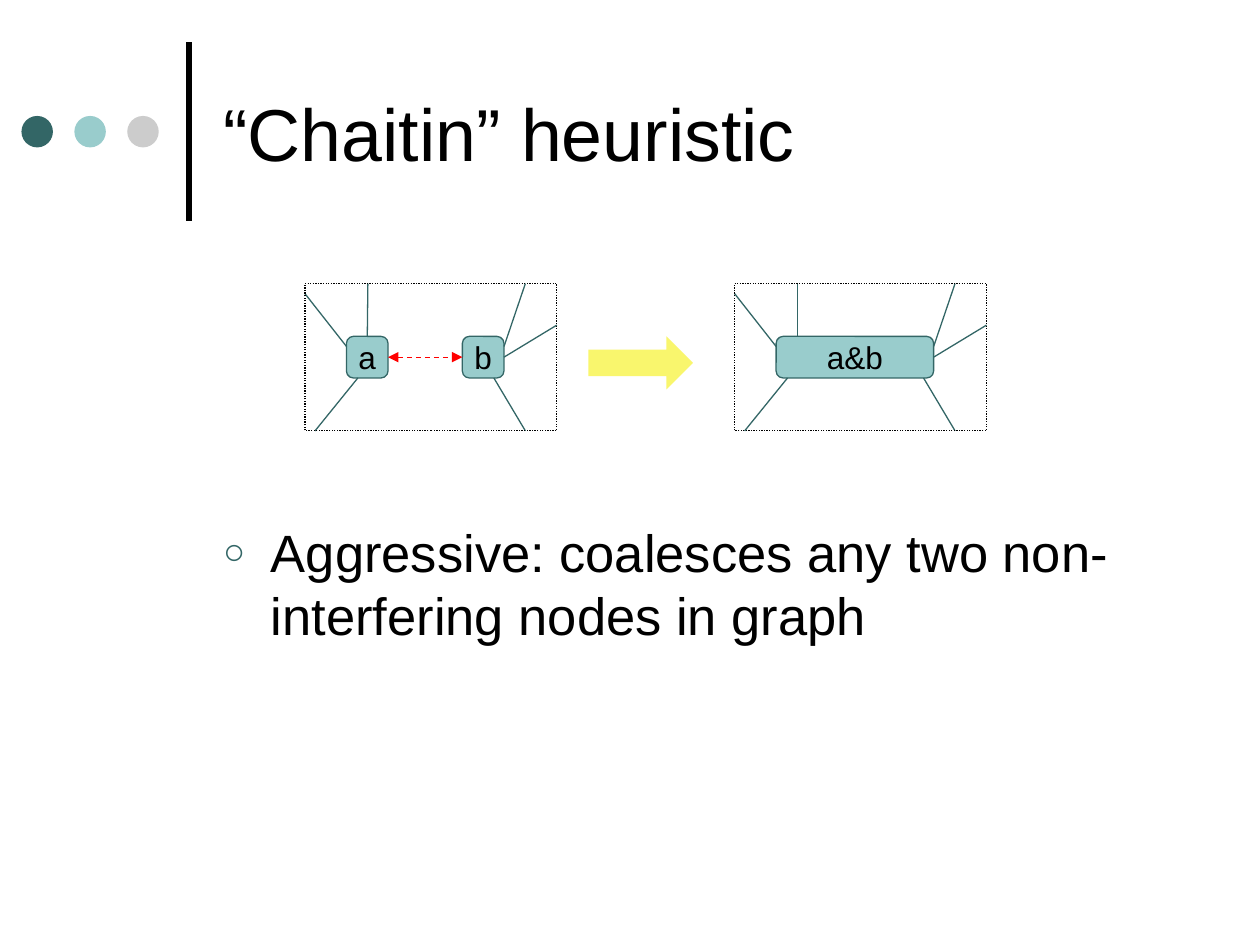
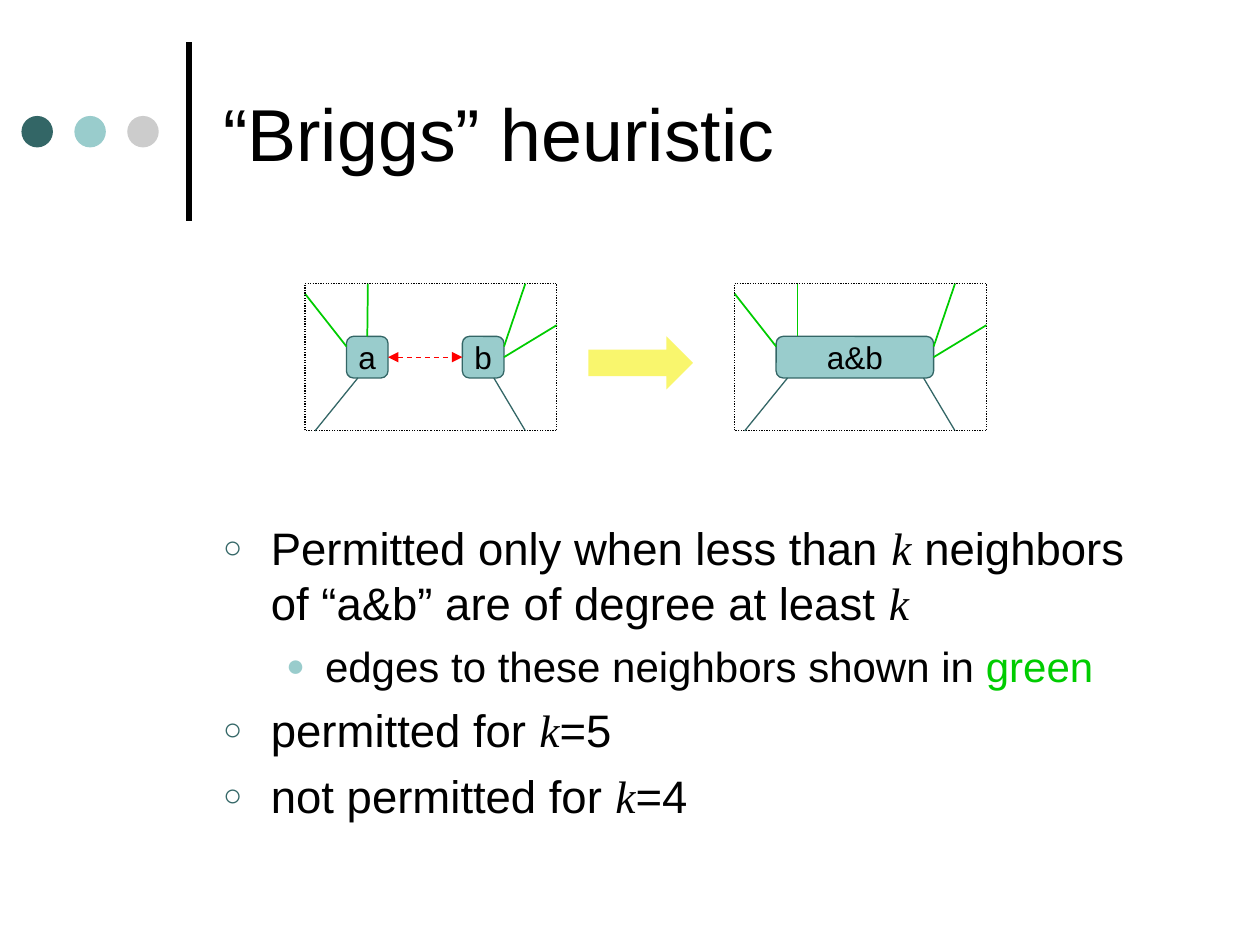
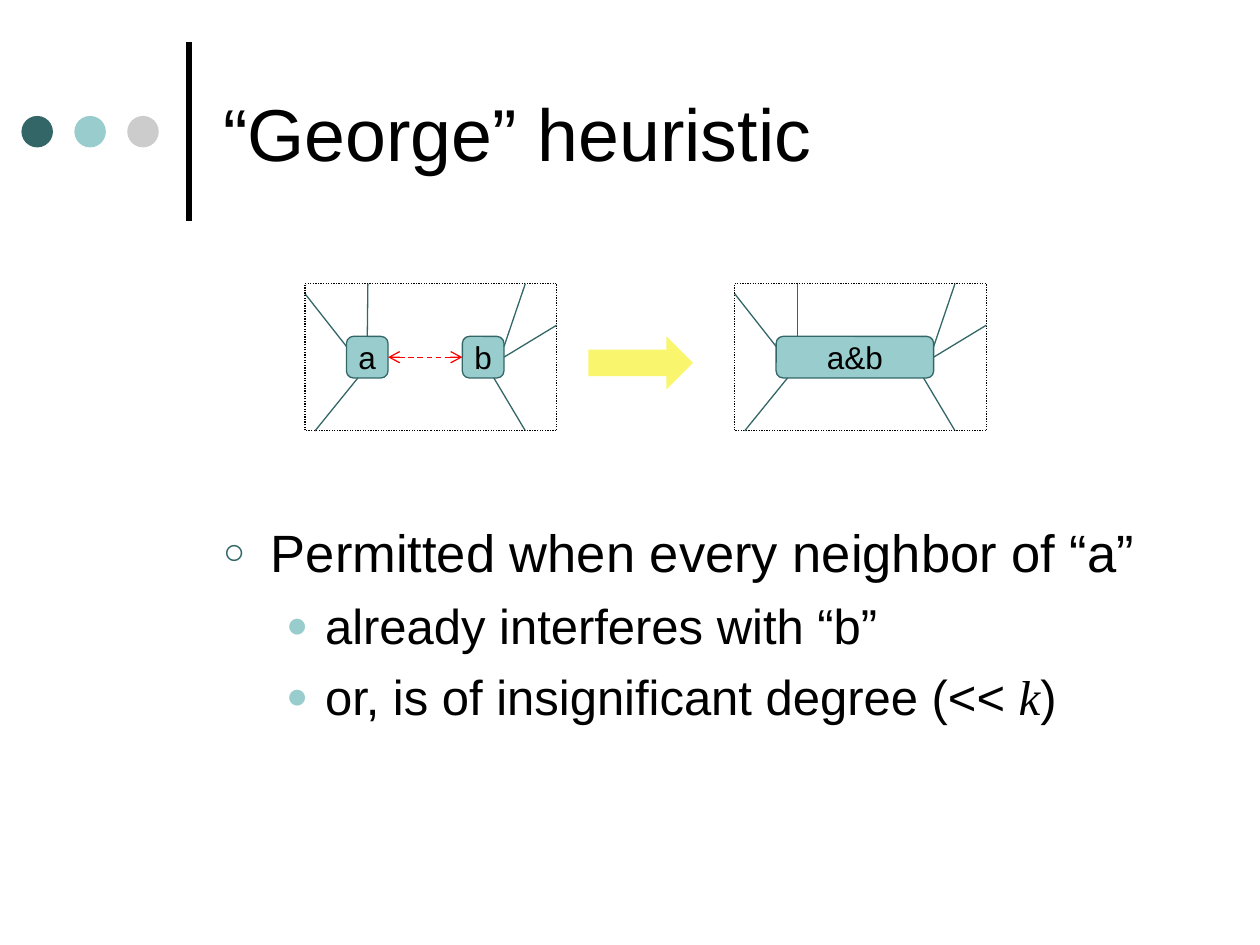
from lxml import etree
from pptx import Presentation
from pptx.dml.color import RGBColor
from pptx.enum.dml import MSO_LINE
from pptx.enum.shapes import MSO_CONNECTOR, MSO_SHAPE
from pptx.enum.text import MSO_ANCHOR, MSO_AUTO_SIZE, PP_ALIGN
from pptx.oxml.ns import qn
from pptx.util import Inches, Pt

STRAIGHT = MSO_CONNECTOR.STRAIGHT
OVAL, RECT = MSO_SHAPE.OVAL, MSO_SHAPE.RECTANGLE
ROUNDED, RIGHT_ARROW = MSO_SHAPE.ROUNDED_RECTANGLE, MSO_SHAPE.RIGHT_ARROW
DASH, DOTS = MSO_LINE.DASH, MSO_LINE.ROUND_DOT
LEFT, CENTER = PP_ALIGN.LEFT, PP_ALIGN.CENTER
TOP, MIDDLE = MSO_ANCHOR.TOP, MSO_ANCHOR.MIDDLE
NO_AUTOFIT = MSO_AUTO_SIZE.NONE

HEX = {"black": "000000", "teal": "336666", "aqua": "99CCCC", "grey": "CCCCCC",
       "red": "FF0000", "green": "00CC00", "yellow": "F9F66D"}
COLORS = {name: RGBColor.from_string(value) for name, value in HEX.items()}
FONT, MATH_FONT = "Arial", "Times New Roman"

BULLETS = [("○", "teal", 70, 0.38, 0.38), ("●", "aqua", 75, 0.81, 0.31)]

GRAPH_TOP, GRAPH_WIDTH, GRAPH_HEIGHT = 2.25, 2, 1.17
NODE_TOP, NODE_HEIGHT = 2.67, 0.33
EDGES = [
    (0.33, 0.5, 0, 0.08, True),
    (0.5, 0.42, 0.5, 0, True),
    (0.42, 0.75, 0.08, 1.17, False),
    (1.58, 0.5, 1.75, 0, True),
    (1.58, 0.58, 2, 0.33, True),
    (1.5, 0.75, 1.75, 1.17, False),
]
GRAPHS = [
    (2.42, [("a", 0.33, 0.33), ("b", 1.25, 0.33)], [("a", 1, 0), ("b", 4, 3)]),
    (5.83, [("a&b", 0.33, 1.25)], [("a&b", 4, 3)]),
]

HEURISTICS = [
    ("“Chaitin” heuristic", "teal", 0.75, "triangle", (30, 28), [
        (0, ["Aggressive: coalesces any two non-interfering nodes in graph"]),
    ]),
    ("“Briggs” heuristic", "green", 1, "triangle", (26, 24), [
        (0, ["Permitted only when less than ", "k",
             " neighbors of “a&b” are of degree at least ", "k"]),
        (1, ["edges to these neighbors shown in ", "green"]),
        (0, ["permitted for ", "k", "=5"]),
        (0, ["not permitted for ", "k", "=4"]),
    ]),
    ("“George” heuristic", "teal", 0.75, "arrow", (30, 28), [
        (0, ["Permitted when every neighbor of “a”"]),
        (1, ["already interferes with “b”"]),
        (1, ["or, is of insignificant degree (<< ", "k", ")"]),
    ]),
]


def add_shape(slide, kind, left, top, width, height, fill=None):
    shape = slide.shapes.add_shape(kind, Inches(left), Inches(top), Inches(width), Inches(height))
    shape.shadow.inherit = False
    if fill:
        shape.fill.solid()
        shape.fill.fore_color.rgb = COLORS[fill]
    else:
        shape.fill.background()
    shape.line.fill.background()
    return shape


def add_line(slide, x1, y1, x2, y2, color, width):
    line = slide.shapes.add_connector(STRAIGHT, Inches(x1), Inches(y1), Inches(x2), Inches(y2))
    line.line.color.rgb = COLORS[color]
    line.line.width = Pt(width)
    etree.SubElement(line.element.spPr, qn("a:effectLst"))
    return line


prs = Presentation()
prs.slide_width, prs.slide_height = Inches(10), Inches(7.5)
layout = prs.slide_layouts[1]
for placeholder, top, height in zip(layout.placeholders, (0.21, 4.08), (1.67, 2.5)):
    placeholder.left, placeholder.top = Inches(1.67), Inches(top)
    placeholder.width, placeholder.height = Inches(7.67), Inches(height)

for heading, edge_color, edge_width, arrowhead, sizes, points in HEURISTICS:
    slide = prs.slides.add_slide(layout)
    add_line(slide, 1.5, 1.75, 1.5, 0.33, "black", 3)
    for i, color in enumerate(("teal", "aqua", "grey")):
        add_shape(slide, OVAL, 0.17 + 0.42 * i, 0.92, 0.25, 0.25, color)

    title = slide.shapes.title.text_frame
    title.text = heading
    title.vertical_anchor = MIDDLE
    title.auto_size = NO_AUTOFIT
    title_line = title.paragraphs[0]
    title_line.alignment = LEFT
    title_line.font.name, title_line.font.size = FONT, Pt(42)
    title_line.font.color.rgb = COLORS["black"]

    body = slide.placeholders[1].text_frame
    body.vertical_anchor = TOP
    body.auto_size = NO_AUTOFIT
    for i, (level, pieces) in enumerate(points):
        point = body.add_paragraph() if i else body.paragraphs[0]
        point.level = level
        point.space_before = Pt(sizes[level] / 4 if i else 0)
        symbol, bullet_color, percent, margin, hanging = BULLETS[level]
        properties = point._p.get_or_add_pPr()
        properties.set("marL", str(Inches(margin)))
        properties.set("indent", str(-Inches(hanging)))
        bullet_fill = etree.SubElement(properties, qn("a:buClr"))
        etree.SubElement(bullet_fill, qn("a:srgbClr"), val=HEX[bullet_color])
        etree.SubElement(properties, qn("a:buSzPct"), val=str(percent * 1000))
        etree.SubElement(properties, qn("a:buChar"), char=symbol)
        point.font.name, point.font.size = FONT, Pt(sizes[level])
        point.font.color.rgb = COLORS["black"]
        for piece in pieces:
            run = point.add_run()
            run.text = piece
            if piece == "k":
                run.font.name, run.font.italic = MATH_FONT, True
            elif piece == "green":
                run.font.color.rgb = COLORS["green"]

    nodes = {}
    for graph_left, labels, joints in GRAPHS:
        for label, offset, width in labels:
            node = add_shape(slide, ROUNDED, graph_left + offset, NODE_TOP,
                             width, NODE_HEIGHT, "aqua")
            node.line.color.rgb = COLORS["teal"]
            node.line.width = Pt(0.75)
            node.text_frame.text = label
            node.text_frame.word_wrap = False
            node.text_frame.vertical_anchor = MIDDLE
            caption = node.text_frame.paragraphs[0]
            caption.alignment = CENTER
            caption.font.name, caption.font.size = FONT, Pt(18)
            caption.font.color.rgb = COLORS["black"]
            nodes[label] = node
        edges = []
        for x1, y1, x2, y2, significant in EDGES:
            color, width = (edge_color, edge_width) if significant else ("teal", 0.75)
            edges.append(add_line(slide, graph_left + x1, GRAPH_TOP + y1,
                                  graph_left + x2, GRAPH_TOP + y2, color, width))
        for label, edge_index, side in joints:
            edges[edge_index].begin_connect(nodes[label], side)
        frame = add_shape(slide, RECT, graph_left, GRAPH_TOP, GRAPH_WIDTH, GRAPH_HEIGHT)
        frame.line.color.rgb = COLORS["black"]
        frame.line.width = Pt(0.75)
        frame.line.dash_style = DOTS

    move = add_line(slide, 3.08, 2.83, 3.67, 2.83, "red", 0.75)
    move.begin_connect(nodes["a"], 3)
    move.end_connect(nodes["b"], 1)
    move.line.dash_style = DASH
    outline = move.element.spPr.find(qn("a:ln"))
    for end in ("a:headEnd", "a:tailEnd"):
        etree.SubElement(outline, qn(end), type=arrowhead)
    add_shape(slide, RIGHT_ARROW, 4.67, 2.67, 0.83, 0.42, "yellow")

prs.save("out.pptx")
